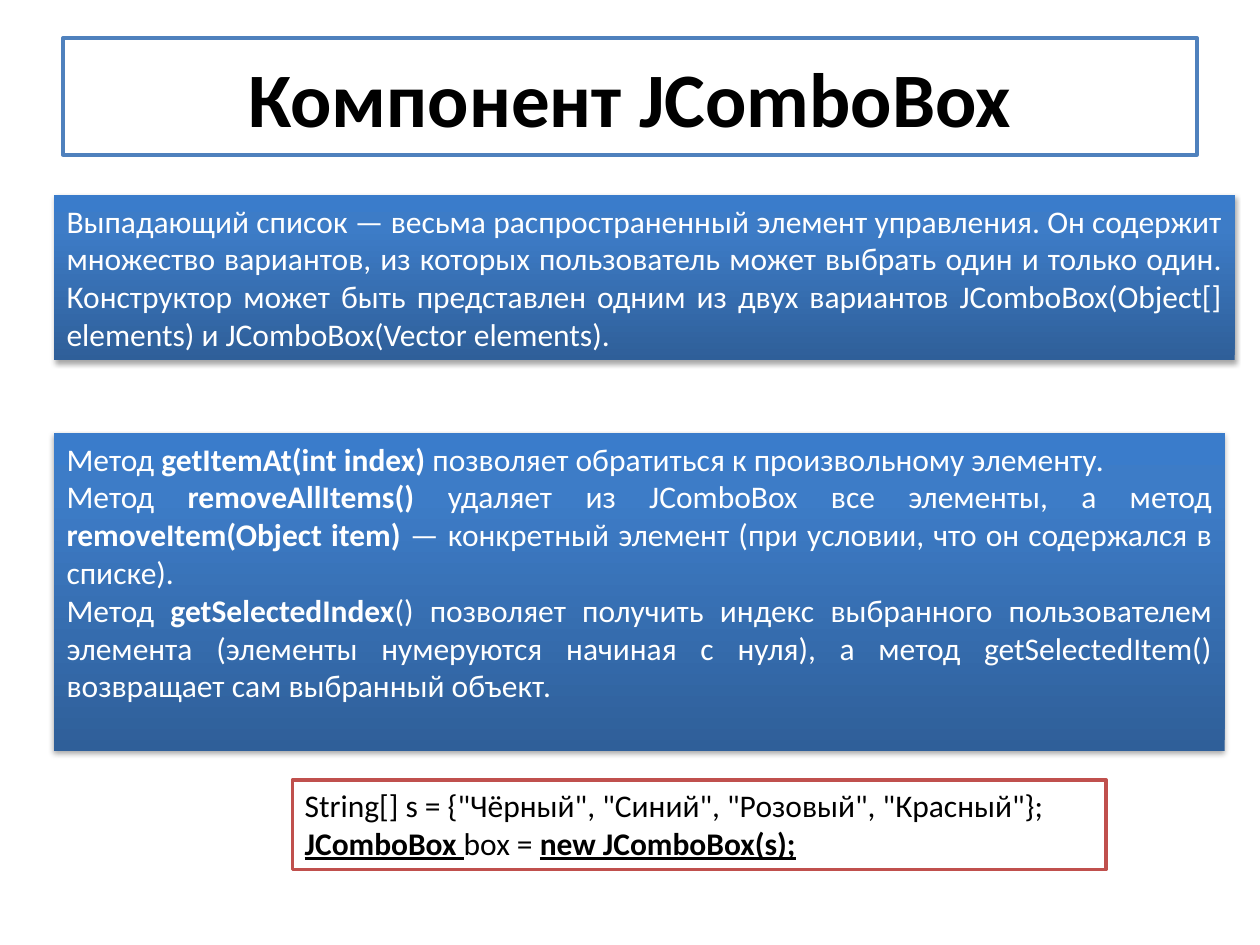
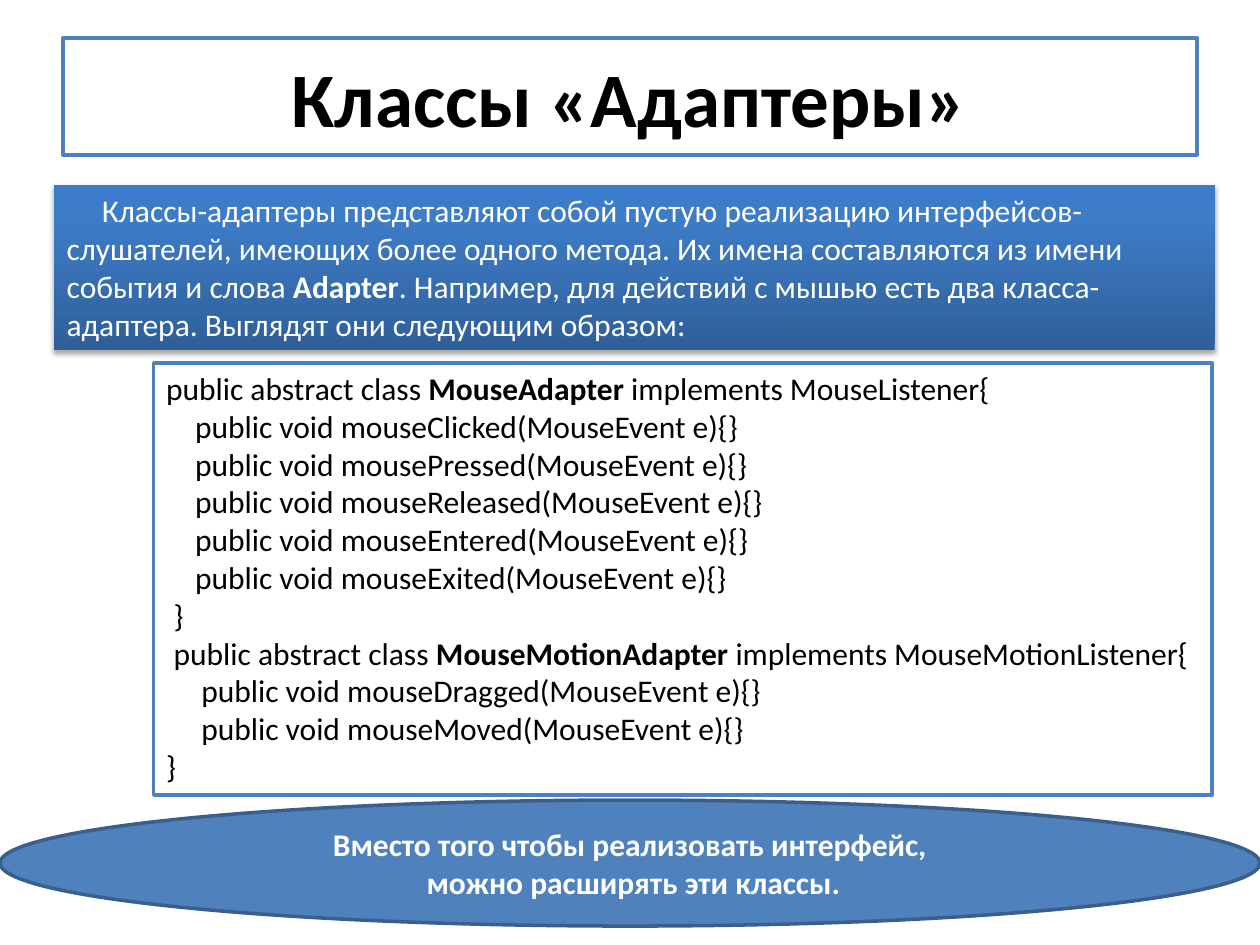
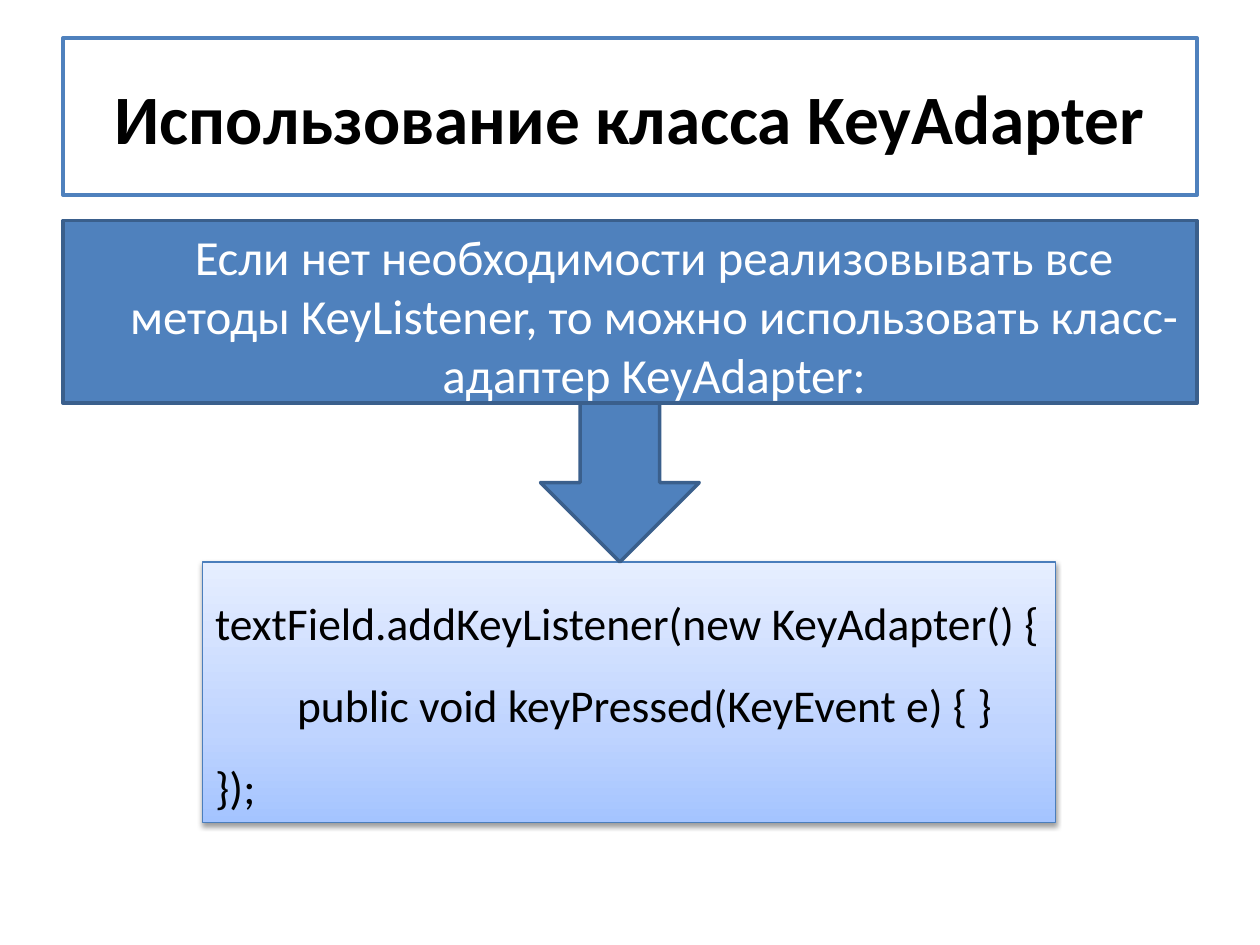
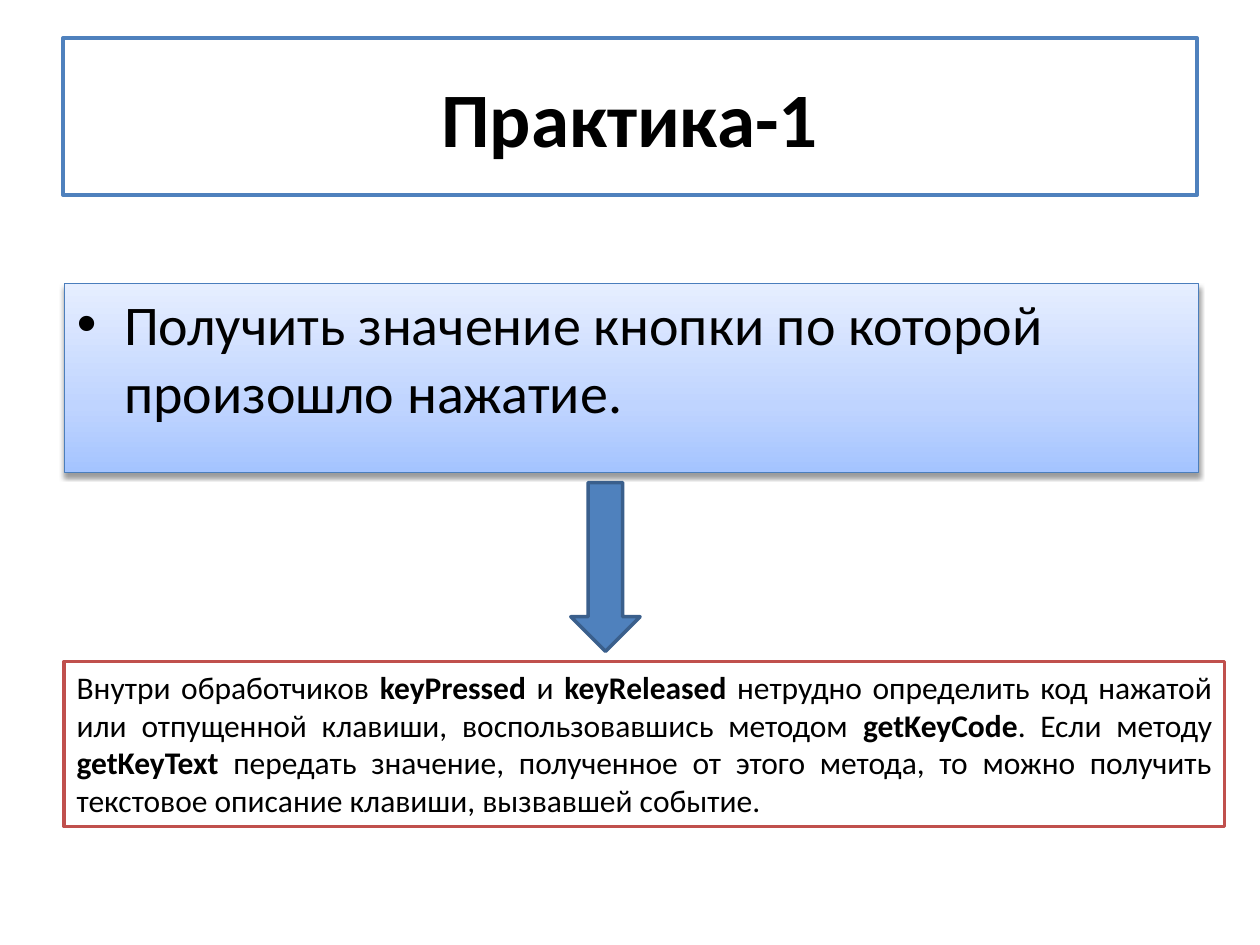
from typing import NamedTuple, Optional

from lxml.etree import SubElement
from pptx import Presentation
from pptx.dml.color import RGBColor
from pptx.enum.shapes import MSO_SHAPE as SHAPE
from pptx.enum.text import MSO_ANCHOR as ANCHOR, MSO_AUTO_SIZE as AUTOSIZE, PP_ALIGN as ALIGN
from pptx.oxml.ns import qn
from pptx.util import Inches, Pt

WHITE = RGBColor(0xFF, 0xFF, 0xFF)
BLACK = RGBColor(0x00, 0x00, 0x00)
BLUE = RGBColor(0x4F, 0x81, 0xBD)
BLUE_EDGE = RGBColor(0x3A, 0x5F, 0x8C)
PALE_EDGE = RGBColor(0x4B, 0x7E, 0xBC)
RED = RGBColor(0xC0, 0x50, 0x4D)
DEEP_BLEND = ((0, RGBColor(0x2F, 0x5F, 0x99)), (80, RGBColor(0x3D, 0x7C, 0xC7)),
              (100, RGBColor(0x3A, 0x7C, 0xCB)))
PALE_BLEND = ((0, RGBColor(0xA4, 0xC4, 0xFF)), (35, RGBColor(0xBF, 0xD4, 0xFF)),
              (100, RGBColor(0xE6, 0xEE, 0xFF)))

FONT = "Calibri"
COLUMNS, ROWS = 100, 75
TITLE_ONLY, TITLE_AND_BODY = 5, 1


class Look(NamedTuple):
    ink: RGBColor
    fill: Optional[RGBColor] = None
    blend: tuple = ()
    edge: Optional[RGBColor] = None
    edge_width: float = 2
    shadow: int = 0


BLUE_FRAME = Look(BLACK, WHITE, edge=BLUE)
RED_FRAME = Look(BLACK, WHITE, edge=RED)
SOLID = Look(WHITE, BLUE, edge=BLUE_EDGE)
DEEP = Look(WHITE, blend=DEEP_BLEND, shadow=35)
PALE = Look(BLACK, blend=PALE_BLEND, edge=PALE_EDGE, edge_width=0.75, shadow=38)


class Deck:
    def __init__(self):
        self.prs = Presentation()
        self.prs.slide_width, self.prs.slide_height = Inches(10), Inches(7.5)
        self.column = self.prs.slide_width / COLUMNS
        self.row = self.prs.slide_height / ROWS
        self.slide = None

    def new_slide(self, heading, rows, layout=TITLE_ONLY, size=44):
        self.slide = self.prs.slides.add_slide(self.prs.slide_layouts[layout])
        title = self.slide.shapes.title
        self.place(title, (5, 3, 90, rows))
        self.dress(title, BLUE_FRAME)
        self.add_lines(title, [f"|{heading}|"], BLACK, size, ALIGN.CENTER, ANCHOR.MIDDLE)

    def area(self, cells):
        left, top, width, height = cells
        return (round(left * self.column), round(top * self.row),
                round(width * self.column), round(height * self.row))

    def place(self, shape, cells):
        shape.left, shape.top, shape.width, shape.height = self.area(cells)

    def body(self, cells, look, text, size, **layout):
        placeholder = self.slide.placeholders[1]
        self.place(placeholder, cells)
        self.dress(placeholder, look)
        self.add_lines(placeholder, [text], look.ink, size, **layout)
        return placeholder.text_frame.paragraphs[0]

    def figure(self, kind, cells, look):
        shape = self.slide.shapes.add_shape(kind, *self.area(cells))
        self.dress(shape, look)
        return shape

    def panel(self, cells, look, lines, size=18, align=ALIGN.LEFT, kind=SHAPE.RECTANGLE,
              anchor=ANCHOR.TOP, **layout):
        shape = self.figure(kind, cells, look)
        self.add_lines(shape, lines, look.ink, size, align, anchor, **layout)

    def arrow(self, cells):
        self.figure(SHAPE.DOWN_ARROW, cells, SOLID)

    def dress(self, shape, look):
        if look.blend:
            self.blend(shape, look.blend)
        else:
            shape.fill.solid()
            shape.fill.fore_color.rgb = look.fill
        if look.edge is None:
            shape.line.fill.background()
        else:
            shape.line.color.rgb = look.edge
            shape.line.width = Pt(look.edge_width)
        shape.shadow.inherit = False
        if look.shadow:
            self.cast_shadow(shape, look.shadow)

    def blend(self, shape, stops):
        """Fill with a gradient that runs from the bottom edge to the top."""
        shape.fill.gradient()
        shape.fill.gradient_angle = 90
        stop_list = shape.element.spPr.find(".//" + qn("a:gsLst"))
        for old_stop in list(stop_list):
            stop_list.remove(old_stop)
        for percent, color in stops:
            stop = SubElement(stop_list, qn("a:gs"), pos=str(percent * 1000))
            SubElement(stop, qn("a:srgbClr"), val=str(color))

    def cast_shadow(self, shape, opacity):
        effects = shape.element.spPr.find(qn("a:effectLst"))
        outer = SubElement(effects, qn("a:outerShdw"), blurRad=str(Pt(3.1)),
                           dist=str(Pt(1.7)), dir="5400000", rotWithShape="0")
        color = SubElement(outer, qn("a:srgbClr"), val=str(BLACK))
        SubElement(color, qn("a:alpha"), val=str(opacity * 1000))

    def add_lines(self, shape, lines, ink, size, align=None, anchor=ANCHOR.TOP,
                  spacing=None, first_indent=0):
        """Add lines, each a text or (text, indent in columns); |bars| mark bold."""
        frame = shape.text_frame
        frame.word_wrap = True
        frame.auto_size = AUTOSIZE.NONE
        frame.vertical_anchor = anchor
        for number, line in enumerate(lines):
            text, indent = (line, 0) if isinstance(line, str) else line
            paragraph = frame.paragraphs[0] if number == 0 else frame.add_paragraph()
            if align is not None:
                paragraph.alignment = align
            if spacing:
                paragraph.line_spacing = spacing
            if indent or first_indent:
                self.indent(paragraph, indent, first_indent)
            for position, part in enumerate(text.split("|")):
                if part:
                    self.add_run(paragraph, part, ink, size, position % 2 == 1)

    def indent(self, paragraph, margin, first):
        properties = paragraph._p.get_or_add_pPr()
        properties.set("marL", str(round(margin * self.column)))
        properties.set("indent", str(round(first * self.column)))

    def add_run(self, paragraph, text, ink, size, strong):
        """A part that starts with an underscore is underlined."""
        run = paragraph.add_run()
        run.text = text.removeprefix("_")
        run.font.name, run.font.size = FONT, Pt(size)
        run.font.bold = strong
        run.font.color.rgb = ink
        if text.startswith("_"):
            run.font.underline = True

    def remove_bullet(self, paragraph, margin):
        self.indent(paragraph, margin, 0)
        SubElement(paragraph._p.get_or_add_pPr(), qn("a:buNone"))


def combo_box_slide(deck):
    deck.new_slide("Компонент JComboBox", 9.3)
    deck.panel((4.3, 15.5, 93.7, 13.1), DEEP, [
        "Выпадающий список — весьма распространенный элемент управления. Он содержит "
        "множество вариантов, из которых пользователь может выбрать один и только один. "
        "Конструктор может быть представлен одним из двух вариантов JComboBox(Object[] "
        "elements) и JComboBox(Vector elements).",
    ], align=ALIGN.JUSTIFY)
    deck.panel((4.3, 34.4, 92.9, 25.2), DEEP, [
        "Метод |getItemAt(int index)| позволяет обратиться к произвольному элементу.",
        "Метод |removeAllItems()| удаляет из JComboBox все элементы, а метод "
        "|removeItem(Object item)| — конкретный элемент (при условии, что он содержался "
        "в списке).",
        "Метод |getSelectedIndex|() позволяет получить индекс выбранного пользователем "
        "элемента (элементы нумеруются начиная с нуля), а метод getSelectedItem() "
        "возвращает сам выбранный объект.",
    ], align=ALIGN.JUSTIFY)
    deck.panel((23.2, 61.9, 64.6, 7.1), RED_FRAME, [
        'String[] s = {"Чёрный", "Синий", "Розовый", "Красный"};',
        "|_JComboBox |box = |_new JComboBox(s);|",
    ])


def adapters_slide(deck):
    deck.new_slide("Классы «Адаптеры»", 9.3)
    deck.panel((4.3, 14.7, 92.1, 13.1), DEEP, [
        "Классы-адаптеры представляют собой пустую реализацию интерфейсов-слушателей, "
        "имеющих более одного метода. Их имена составляются из имени события и слова "
        "|Adapter|. Например, для действий с мышью есть два класса-адаптера. Выглядят "
        "они следующим образом:",
    ], first_indent=2.8)

    def handlers(events, indent):
        return [(f"public void mouse{event}(MouseEvent e){{}}", indent) for event in events]

    deck.panel((12.2, 28.8, 84, 34.3), BLUE_FRAME, [
        "public abstract class |MouseAdapter| implements MouseListener{",
        *handlers(("Clicked", "Pressed", "Released", "Entered", "Exited"), 2.3),
        ("}", 0.6),
        ("public abstract class |MouseMotionAdapter| implements MouseMotionListener{", 0.6),
        *handlers(("Dragged", "Moved"), 2.8),
        "}",
    ])
    deck.panel((0, 63.5, 100, 10), SOLID, [
        "|Вместо того чтобы реализовать интерфейс,|",
        "| можно расширять эти классы.|",
    ], align=ALIGN.CENTER, kind=SHAPE.OVAL, anchor=ANCHOR.MIDDLE)


def key_adapter_slide(deck):
    deck.new_slide("Использование класса KeyAdapter", 12.5, TITLE_AND_BODY, size=39.6)
    reason = deck.body(
        (5, 17.5, 90, 14.5), SOLID,
        "Если нет необходимости реализовывать все методы KeyListener, то можно "
        "использовать класс-адаптер KeyAdapter:", 28, align=ALIGN.CENTER)
    deck.remove_bullet(reason, 3.8)
    deck.panel((16.1, 44.6, 67.7, 20.7), PALE, [
        "textField.addKeyListener(new KeyAdapter() {",
        ("public void keyPressed(KeyEvent e) { }", 6.5),
        "});",
    ], size=26, spacing=1.5)
    deck.arrow((42.9, 32, 12.6, 12.6))


def practice_slide(deck):
    deck.new_slide("Практика-1", 12.5, TITLE_AND_BODY)
    deck.body((5.1, 22.5, 90, 15), PALE,
              "Получить значение кнопки по которой произошло нажатие.", 32)
    deck.panel((5.1, 52.5, 92.1, 13.1), RED_FRAME, [
        "Внутри обработчиков |keyPressed| и |keyReleased| нетрудно определить код нажатой "
        "или отпущенной клавиши, воспользовавшись методом |getKeyCode|. Если методу "
        "|getKeyText| передать значение, полученное от этого метода, то можно получить "
        "текстовое описание клавиши, вызвавшей событие.",
    ], align=ALIGN.JUSTIFY)
    deck.arrow((45.3, 38.3, 5.5, 13.4))


def main():
    deck = Deck()
    for build in (combo_box_slide, adapters_slide, key_adapter_slide, practice_slide):
        build(deck)
    deck.prs.save("out.pptx")


if __name__ == "__main__":
    main()
